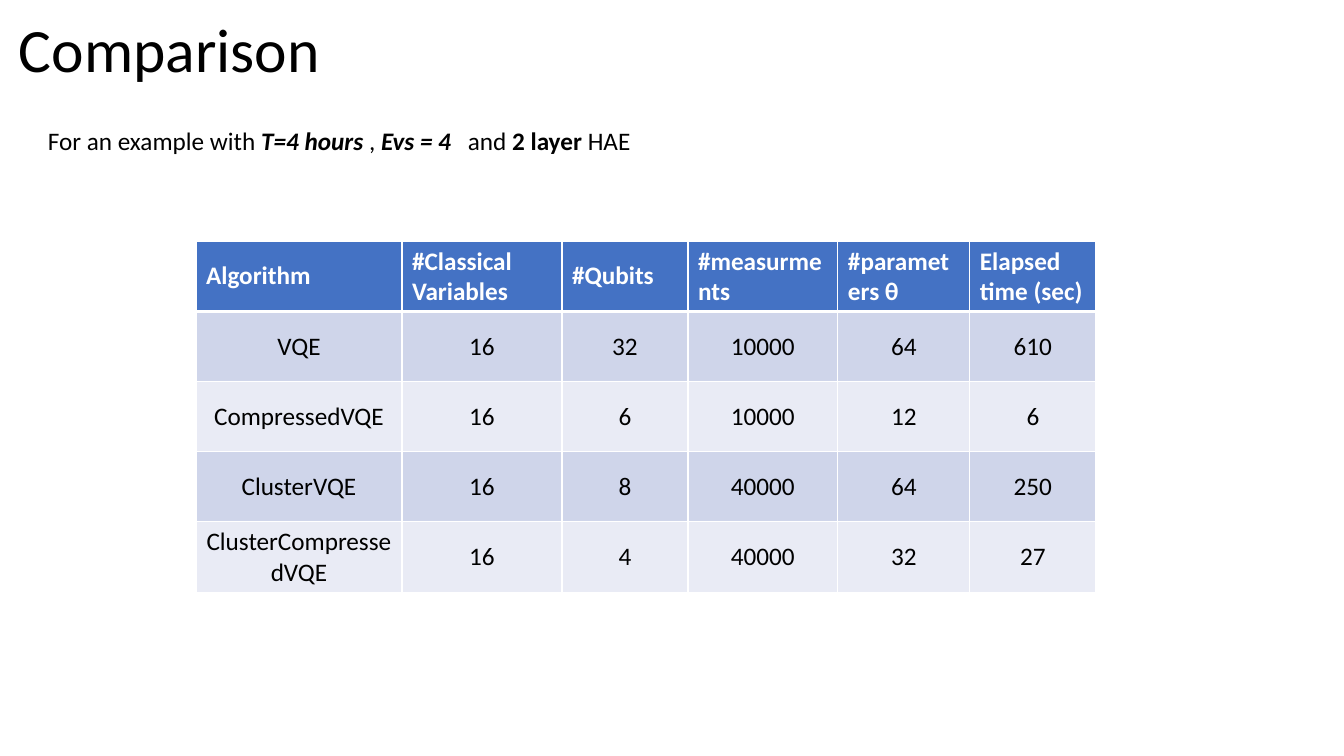
from lxml import etree
from pptx import Presentation
from pptx import util as u
from pptx.dml.color import RGBColor
from pptx.enum import text
from pptx.oxml.ns import qn

EMU_PER_PX = 914400 / 100.8
BLACK, WHITE, BLUE = "000000", "FFFFFF", "4472C4"
BANDS = ("CFD5EA", "E9EBF5")

COLUMN_WIDTHS = (206, 160, 126, 150, 132, 126)
ROW_HEIGHT = 70
HEADERS = ("Algorithm", "#Classical Variables", "#Qubits",
           "#measurments", "#parameters θ", "Elapsed time (sec)")
RESULTS = (
    ("VQE", 16, 32, 10000, 64, 610),
    ("CompressedVQE", 16, 6, 10000, 12, 6),
    ("ClusterVQE", 16, 8, 40000, 64, 250),
    ("ClusterCompressedVQE", 16, 4, 40000, 32, 27),
)


def px(length):
    return u.Emu(round(length * EMU_PER_PX))


def color(hex_string):
    return RGBColor.from_string(hex_string)


class SlideBuilder:
    def __init__(self, slide, font_name="Calibri"):
        self.slide = slide
        self.font_name = font_name

    def add_run(self, paragraph, words, size=18, ink=BLACK, bold=False, italic=False):
        run = paragraph.add_run()
        run.text = words
        font = run.font
        font.name, font.size = self.font_name, u.Pt(size)
        font.bold, font.italic = bold, italic
        font.color.rgb = color(ink)

    def add_text(self, left, top, width, height, anchor=text.MSO_ANCHOR.TOP):
        """Add an empty wrapping text box and return its first paragraph."""
        shape = self.slide.shapes.add_textbox(px(left), px(top), px(width), px(height))
        frame = shape.text_frame
        frame.word_wrap = True
        frame.vertical_anchor = anchor
        return frame.paragraphs[0]

    def add_tab_stop(self, paragraph, position):
        """Set a left tab, measured from the inner edge of the text box."""
        properties = paragraph._p.get_or_add_pPr()
        tab_list = etree.SubElement(properties, qn("a:tabLst"))
        etree.SubElement(tab_list, qn("a:tab"), pos=str(px(position)), algn="l")

    def add_table(self, left, top, widths, row_height, headers, rows):
        shape = self.slide.shapes.add_table(
            len(rows) + 1, len(widths), px(left), px(top),
            px(sum(widths)), px(row_height * (len(rows) + 1)))
        table = shape.table
        for column, width in zip(table.columns, widths):
            column.width = px(width)
        for row in table.rows:
            row.height = px(row_height)
        for index, values in enumerate((headers, *rows)):
            for column, value in enumerate(values):
                self.fill_cell(table.cell(index, column), str(value), index)

    def fill_cell(self, cell, words, row):
        header = row == 0
        self.add_borders(cell, top=3 if row == 1 else 1, bottom=3 if header else 1)
        cell.fill.solid()
        cell.fill.fore_color.rgb = color(BLUE if header else BANDS[(row - 1) % 2])
        cell.vertical_anchor = text.MSO_ANCHOR.MIDDLE
        paragraph = cell.text_frame.paragraphs[0]
        paragraph.alignment = text.PP_ALIGN.LEFT if header else text.PP_ALIGN.CENTER
        self.add_run(paragraph, words, ink=WHITE if header else BLACK, bold=header)

    def add_borders(self, cell, top, bottom):
        """Draw white cell borders; call before filling, as the schema orders them."""
        properties = cell._tc.get_or_add_tcPr()
        for side, points in (("L", 1), ("R", 1), ("T", top), ("B", bottom)):
            line = etree.SubElement(properties, qn(f"a:ln{side}"), w=str(u.Pt(points)))
            fill = etree.SubElement(line, qn("a:solidFill"))
            etree.SubElement(fill, qn("a:srgbClr"), val=WHITE)


def main():
    presentation = Presentation()
    presentation.slide_width, presentation.slide_height = px(1344), px(756)
    slide = presentation.slides.add_slide(presentation.slide_layouts[6])
    builder = SlideBuilder(slide)

    title = builder.add_text(9, 10, 1008, 81, text.MSO_ANCHOR.BOTTOM)
    title.line_spacing = 0.9
    builder.add_run(title, "Comparison", size=44)

    example = builder.add_text(38, 120, 1038, 40)
    builder.add_tab_stop(example, 420)
    for words, bold, italic in (
        ("For an example with ", False, False),
        ("T=4 hours ", True, True),
        (", ", False, False),
        ("Evs = 4", True, True),
        ("\tand ", False, False),
        ("2 layer ", True, False),
        ("HAE", False, False),
    ):
        builder.add_run(example, words, bold=bold, italic=italic)

    builder.add_table(196, 241, COLUMN_WIDTHS, ROW_HEIGHT, HEADERS, RESULTS)
    presentation.save("out.pptx")


if __name__ == "__main__":
    main()
